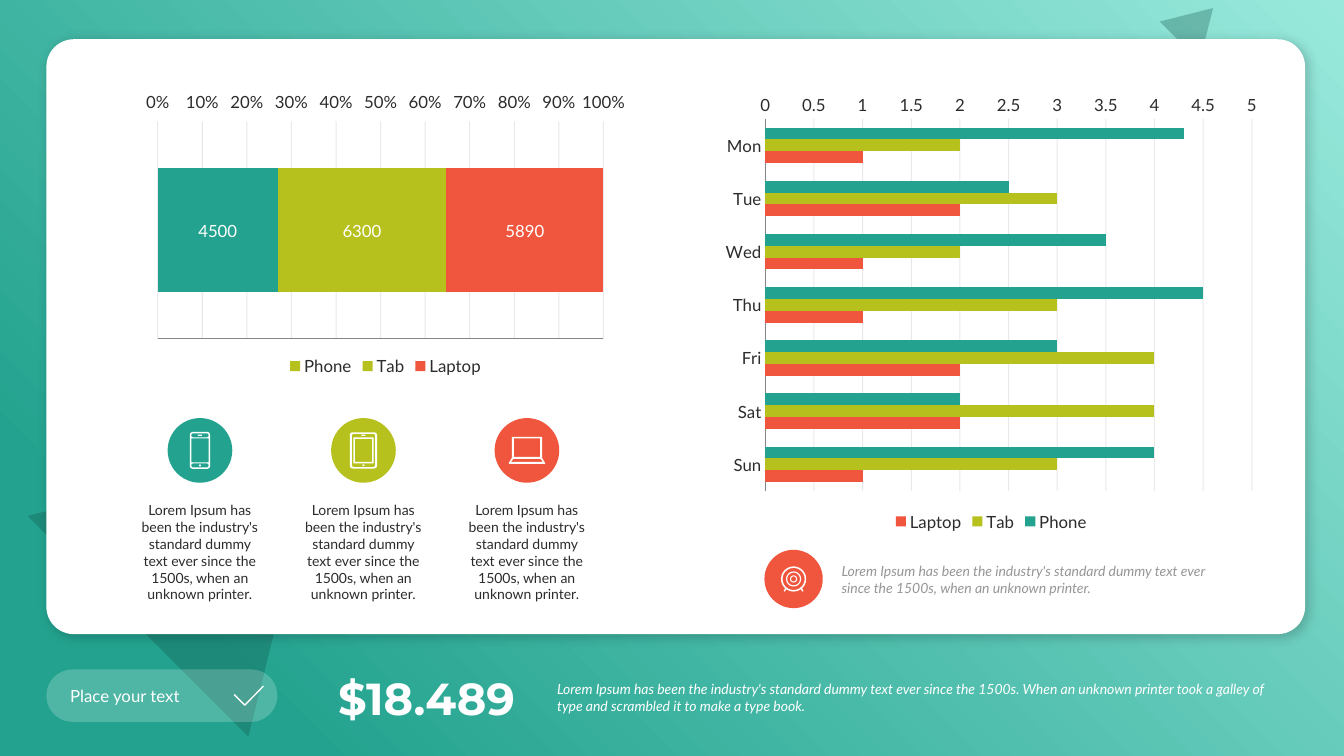
from math import cos, pi, sin

from pptx import Presentation
from pptx.chart.data import CategoryChartData
from pptx.dml.color import RGBColor
from pptx.enum.chart import XL_CHART_TYPE, XL_LABEL_POSITION, XL_LEGEND_POSITION, XL_TICK_LABEL_POSITION, XL_TICK_MARK
from pptx.enum.shapes import MSO_SHAPE
from pptx.enum.text import MSO_ANCHOR, MSO_AUTO_SIZE, PP_ALIGN
from pptx.oxml import parse_xml
from pptx.oxml.ns import qn
from pptx.util import Cm, Pt

RECT, ROUND = MSO_SHAPE.RECTANGLE, MSO_SHAPE.ROUNDED_RECTANGLE
OVAL, WEDGE = MSO_SHAPE.OVAL, MSO_SHAPE.ISOSCELES_TRIANGLE
STACK, CLUSTER = XL_CHART_TYPE.BAR_STACKED_100, XL_CHART_TYPE.BAR_CLUSTERED
BOTTOM, MIDST = XL_LEGEND_POSITION.BOTTOM, XL_LABEL_POSITION.CENTER
HIGH, NO_TICK = XL_TICK_LABEL_POSITION.HIGH, XL_TICK_MARK.NONE
LEFT, CENTER, RIGHT = PP_ALIGN.LEFT, PP_ALIGN.CENTER, PP_ALIGN.RIGHT
TOP, MIDDLE = MSO_ANCHOR.TOP, MSO_ANCHOR.MIDDLE
GROW = MSO_AUTO_SIZE.SHAPE_TO_FIT_TEXT

HUES = {"teal": "23A38F", "lime": "B7C11E", "coral": "F0563D", "white": "FFFFFF",
        "ink": "2C2C2C", "gray": "969696", "axis": "868686", "deep": "115248", "mint": "98E9DC"}
NS = 'xmlns:a="http://schemas.openxmlformats.org/drawingml/2006/main"'
BLURB = "Lorem Ipsum has been the industry's standard dummy text ever since the 1500s"
NOTE = BLURB + ", when an unknown printer."
FOOTER = BLURB + ". When an unknown printer took a galley of type and scrambled it to make a type book."
SALES = {"Phone": [4500], "Tab": [6300], "Laptop": [5890]}
DAYS = ["Mon", "Tue", "Wed", "Thu", "Fri", "Sat", "Sun"]
USAGE = {"Phone": [4.3, 2.5, 3.5, 4.5, 3, 2, 4],
         "Tab": [2, 3, 2, 3, 4, 4, 3],
         "Laptop": [1, 2, 1, 1, 2, 2, 1]}


def box(wide, top, low, curve=0):
    """Return the points of a centred box with rounded corners."""
    turns = [(1, 1, 0), (-1, 1, 1), (-1, -1, 2), (1, -1, 3)]
    points = []
    for side, down, turn in turns:
        mid_x = side * (wide - curve)
        mid_y = low - curve if down > 0 else top + curve
        for step in range(7 if curve else 1):
            angle = (turn + step / 6) * pi / 2
            points.append((mid_x + curve * cos(angle), mid_y + curve * sin(angle)))
    return points


def ring(size, mid=0):
    """Return the points of a circle."""
    return box(size, mid - size, mid + size, size)


LEG = [(-215, 240), (-250, 305), (-220, 318), (-185, 262)]
ICONS = {
    "phone": [box(254, -465, 465, 76), box(216, -430, -330, 40), box(216, -305, 305),
              box(216, 330, 430, 40), box(50, -396, -366), ring(25, 380)],
    "tablet": [box(343, -457, 457, 76), box(292, -419, 419, 51), box(254, -330, 330),
               box(216, -292, 292), box(50, -396, -366), ring(25, 375)],
    "laptop": [[(-381, -343), (381, -343), (381, 190), (457, 318), (457, 343),
                (-457, 343), (-457, 318), (-381, 190)], box(330, -300, 165),
               [(-340, 213), (340, 213), (406, 292), (-406, 292)]],
    "target": [ring(size) for size in (318, 279, 190, 160, 90, 64)]
              + [LEG, [(-x, y) for x, y in LEG]],
    "check": [[(-355, -40), (-100, 215), (360, -254), (381, -229), (-90, 254),
               (-110, 254), (-381, -13)]],
}
DEVICES = [("phone", "teal"), ("tablet", "lime"), ("laptop", "coral")]

deck = Presentation()
deck.slide_width, deck.slide_height = Cm(33.87), Cm(19.05)
slide = deck.slides.add_slide(deck.slide_layouts[6])
shapes = slide.shapes


def tint(hue):
    """Return the colour of a name."""
    return RGBColor.from_string(HUES[hue])


def fade(node, share):
    """Set the opacity of the colours in a node, in percent."""
    for color in node.iter(qn("a:srgbClr")):
        color.append(parse_xml(f'<a:alpha {NS} val="{share * 1000}"/>'))


def paint(shape, hue, share=100):
    """Fill a shape plainly without line or shadow."""
    shape.shadow.inherit = False
    shape.fill.solid()
    shape.fill.fore_color.rgb = tint(hue)
    shape.line.fill.background()
    if share < 100:
        fade(shape._element.spPr, share)
    return shape


def block(kind, place, hue, share=100):
    """Add a plain preset shape."""
    return paint(shapes.add_shape(kind, *map(Cm, place)), hue, share)


def icon(name, x, y):
    """Draw a white icon around a centre."""
    first, *rest = ICONS[name]
    pen = shapes.build_freeform(*first[0], scale=Cm(1) / 1000)
    pen.add_line_segments(first[1:])
    for points in rest:
        pen.move_to(*points[0])
        pen.add_line_segments(points[1:])
    return paint(pen.convert_to_shape(Cm(x), Cm(y)), "white")


def badge(name, hue, x, y, size):
    """Draw an icon on a disc."""
    block(OVAL, (x - size / 2, y - size / 2, size, size), hue)
    icon(name, x, y)


def write(words, place, hue, size=10, align=LEFT, anchor=MIDDLE, after=0,
          face="Lato", bold=False, slant=False):
    """Add a text box of one paragraph."""
    label = shapes.add_textbox(*map(Cm, place))
    frame = label.text_frame
    frame.text, frame.word_wrap = words, True
    frame.auto_size, frame.vertical_anchor = GROW, anchor
    line = frame.paragraphs[0]
    line.alignment, line.space_after = align, Pt(after)
    font = line.runs[0].font
    font.name, font.size, font.bold, font.italic = face, Pt(size), bold, slant
    font.color.rgb = tint(hue)
    return label


def plot(kind, place, names, rows, hues, gap, top, step):
    """Add a bar chart with its axes and legend."""
    data = CategoryChartData()
    data.categories = names
    for name, values in rows.items():
        data.add_series(name, values)
    chart = shapes.add_chart(kind, *map(Cm, place), data).chart
    chart.has_title, chart.has_legend = False, True
    chart.legend.position, chart.legend.include_in_layout = BOTTOM, False
    chart.font.name, chart.font.size = "Lato", Pt(12)
    chart.font.color.rgb = tint("ink")
    bars = chart.plots[0]
    bars.gap_width, bars.vary_by_categories = gap, False
    for series, hue in zip(bars.series, hues):
        series.format.fill.solid()
        series.format.fill.fore_color.rgb = tint(hue)
    scale = chart.value_axis
    scale.minimum_scale, scale.maximum_scale, scale.major_unit = 0, top, step
    grid = scale.major_gridlines.format.line
    grid.width, grid.color.rgb = Pt(0.75), tint("ink")
    fade(scale.major_gridlines._xAx.find(qn("c:majorGridlines")), 10)
    for axis in (scale, chart.category_axis):
        axis.major_tick_mark = axis.minor_tick_mark = NO_TICK
        axis.format.line.width, axis.format.line.color.rgb = Pt(0.75), tint("axis")
    return chart


back = block(RECT, (0, 0, 33.87, 19.05), "teal")
fill = back._element.spPr.find(qn("a:solidFill"))
fill.getparent().replace(fill, parse_xml(
    f'<a:gradFill {NS} rotWithShape="1"><a:gsLst>'
    f'<a:gs pos="0"><a:srgbClr val="{HUES["mint"]}"/></a:gs>'
    f'<a:gs pos="85000"><a:srgbClr val="{HUES["teal"]}"/></a:gs></a:gsLst>'
    '<a:path path="circle"><a:fillToRect l="100000" b="100000"/></a:path></a:gradFill>'))
for place in ((1.85, 10.21, 7.87, 6.53), (29.44, 0.03, 1.42, 1.19)):
    block(WEDGE, place, "deep", 30).rotation = 45

card = block(ROUND, (1.17, 0.99, 31.72, 14.99), "white")
card.adjustments[0] = 0.046
card._element.spPr.find(qn("a:effectLst")).append(parse_xml(
    f'<a:outerShdw {NS} blurRad="{Pt(8)}" dist="{Pt(3)}" dir="2700000" algn="tl" rotWithShape="0">'
    '<a:srgbClr val="000000"><a:alpha val="20000"/></a:srgbClr></a:outerShdw>'))

sales = plot(STACK, (3.43, 2.16, 12.57, 7.42), ["1"], SALES, ("lime", "lime", "coral"), 75, 1, 0.1)
sales.plots[0].overlap = 100
sales.category_axis.visible = False
sales.value_axis.tick_label_position = HIGH
sales.value_axis.tick_labels.number_format = "0%"
sales.value_axis.tick_labels.number_format_is_linked = False
for series in sales.plots[0].series:
    tags = series.data_labels
    tags.show_value, tags.position = True, MIDST
    tags.font.size, tags.font.color.rgb = Pt(12), tint("white")
phone = sales.plots[0].series[0].points[0].format.fill
phone.solid()
phone.fore_color.rgb = tint("teal")

usage = plot(CLUSTER, (18.01, 2.16, 13.94, 11.33), DAYS, USAGE, ("teal", "lime", "coral"), 150, 5, 0.5)
usage.category_axis.reverse_order = True
usage.value_axis.format.line.fill.background()

for index, (name, hue) in enumerate(DEVICES):
    x = 5.04 + index * 4.12
    badge(name, hue, x, 11.35, 1.63)
    write(NOTE, (x - 1.73, 12.52, 3.45, 2.82), "ink", align=CENTER, anchor=TOP, after=6)
badge("target", "coral", 20, 14.59, 1.47)
write(NOTE, (20.96, 14.05, 10.34, 1.12), "gray", slant=True)

pill = block(ROUND, (1.17, 16.87, 5.82, 1.32), "white", 20)
pill.adjustments[0] = 0.5
shapes.add_group_shape([pill, icon("check", 6.27, 17.53),
                        write("Place your text", (1.52, 17.15, 4.78, 0.76), "white", 12)])
write("$18.489", (8.1, 16.76, 5.13, 1.63), "white", 32, RIGHT, face="Montserrat", bold=True)
write(FOOTER, (13.79, 17.02, 18.62, 1.12), "white", after=6, slant=True)

deck.save("out.pptx")
